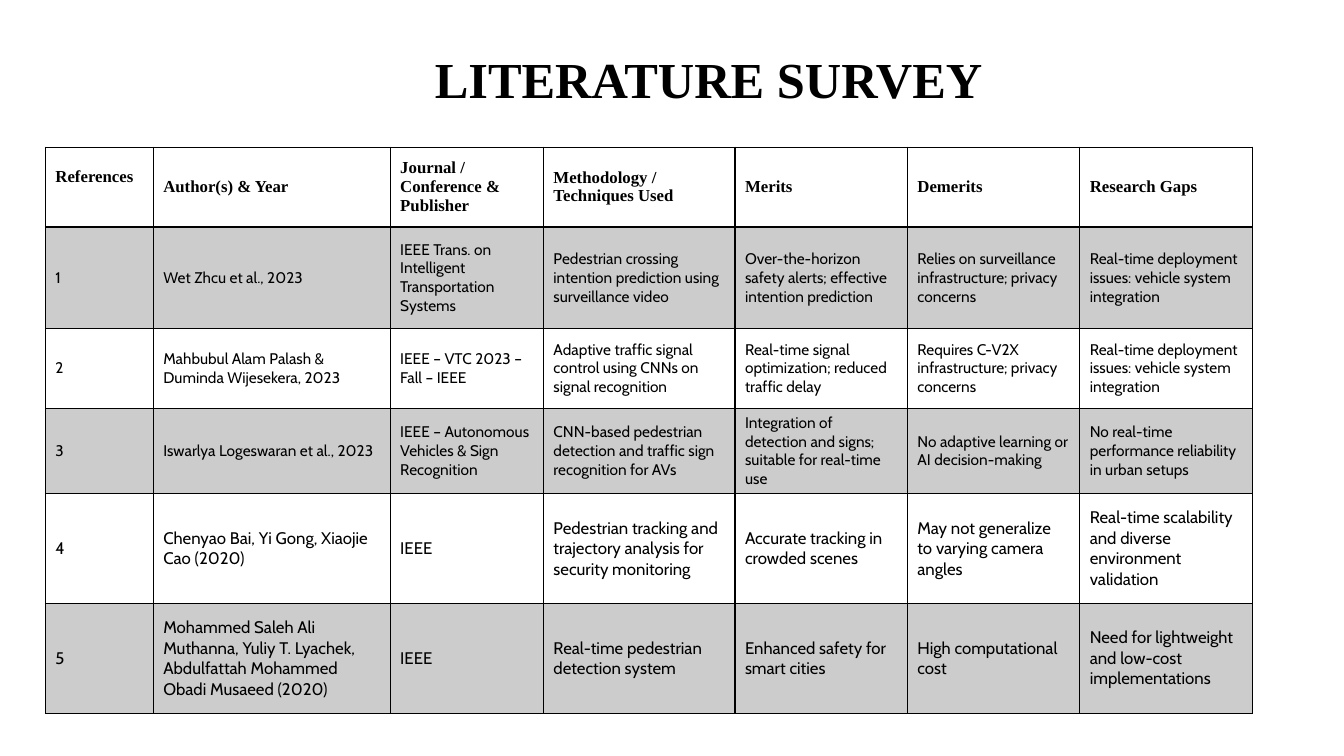
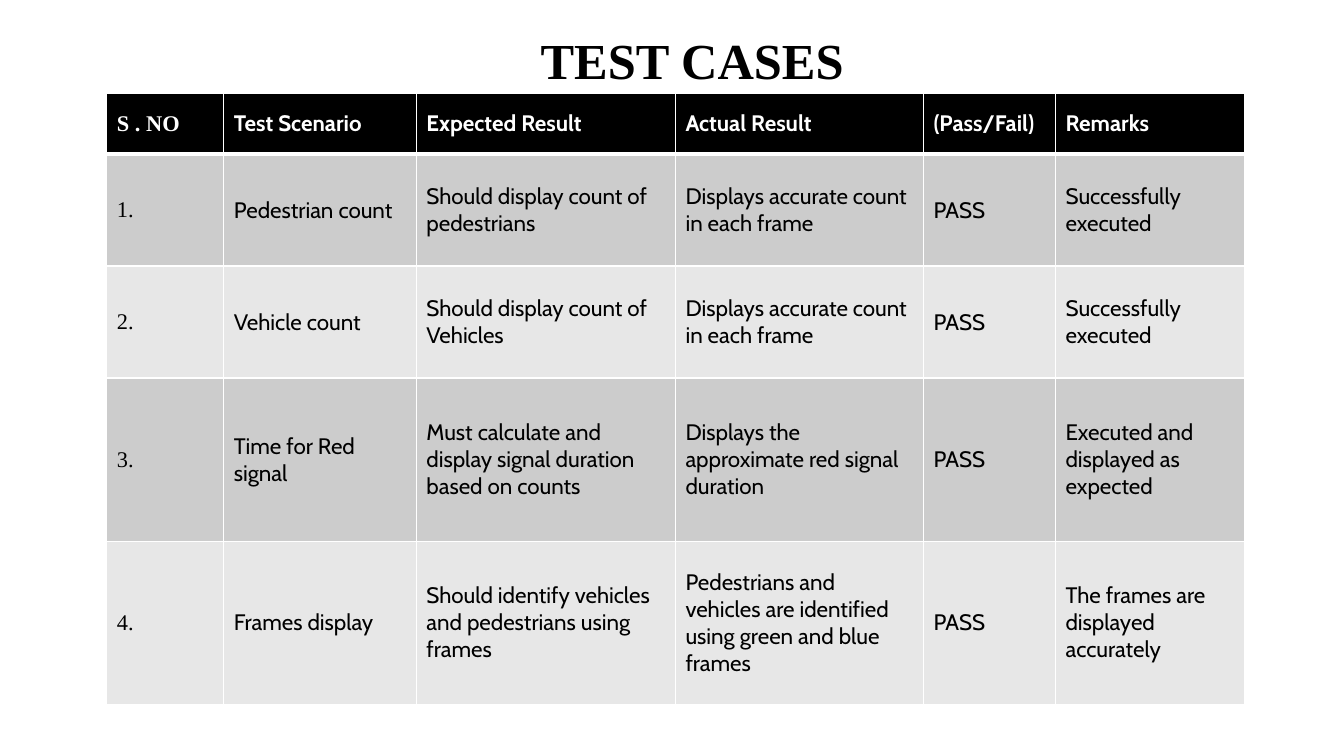
import pptx
import pptx.dml.color
import pptx.enum.text
import pptx.util
from lxml import etree
from pptx.oxml.ns import qn

Inches, Pt = pptx.util.Inches, pptx.util.Pt
RGBColor = pptx.dml.color.RGBColor
MIDDLE = pptx.enum.text.MSO_ANCHOR.MIDDLE

BLACK = RGBColor(0x00, 0x00, 0x00)
WHITE = RGBColor(0xFF, 0xFF, 0xFF)
MID_GREY = RGBColor(0xCC, 0xCC, 0xCC)
PALE_GREY = RGBColor(0xE7, 0xE7, 0xE7)
SERIF, SANS = "Times New Roman", "Cabin"
TITLE_LAYOUT = 5

SURVEY = {
    "title": "LITERATURE SURVEY",
    "title_at": (1.55, 0.41, 10.96, 0.73),
    "table_at": (0.45, 1.46),
    "columns": [1.07, 2.35, 1.52, 1.9, 1.71, 1.71, 1.71],
    "rows": [0.79, 1.01, 0.79, 0.79, 1.09, 1.09],
    "sizes": [12, 11, 11, 11, 12, 12],
    "header_fonts": [SERIF] * 7,
    "body_fonts": [SANS] * 7,
    "header_fill": WHITE,
    "header_color": BLACK,
    "bands": [MID_GREY, WHITE],
    "border": BLACK,
    "header_rule": 2,
    "cells": [
        ["References", "Author(s) & Year", "Journal / Conference & Publisher",
         "Methodology / Techniques Used", "Merits", "Demerits", "Research Gaps"],
        ["1", "Wet Zhcu et al., 2023",
         "IEEE Trans. on Intelligent Transportation Systems",
         "Pedestrian crossing intention prediction using surveillance video",
         "Over-the-horizon safety alerts; effective intention prediction",
         "Relies on surveillance infrastructure; privacy concerns",
         "Real-time deployment issues: vehicle system integration"],
        ["2", "Mahbubul Alam Palash & Duminda Wijesekera, 2023",
         "IEEE – VTC 2023 – Fall – IEEE",
         "Adaptive traffic signal control using CNNs on signal recognition",
         "Real-time signal optimization; reduced traffic delay",
         "Requires C-V2X infrastructure; privacy concerns",
         "Real-time deployment issues: vehicle system integration"],
        ["3", "Iswarlya Logeswaran et al., 2023",
         "IEEE – Autonomous Vehicles & Sign Recognition",
         "CNN-based pedestrian detection and traffic sign recognition for AVs",
         "Integration of detection and signs; suitable for real-time use",
         "No adaptive learning or AI decision-making",
         "No real-time performance reliability in urban setups"],
        ["4", "Chenyao Bai, Yi Gong, Xiaojie Cao (2020)", "IEEE",
         "Pedestrian tracking and trajectory analysis for security monitoring",
         "Accurate tracking in crowded scenes",
         "May not generalize to varying camera angles",
         "Real-time scalability and diverse environment validation"],
        ["5", "Mohammed Saleh Ali Muthanna, Yuliy T. Lyachek, "
              "Abdulfattah Mohammed Obadi Musaeed (2020)", "IEEE",
         "Real-time pedestrian detection system",
         "Enhanced safety for smart cities", "High computational cost",
         "Need for lightweight and low-cost implementations"],
    ],
}

TESTS = {
    "title": "TEST CASES",
    "title_at": (1.62, 0.43, 10.49, 0.32),
    "table_at": (1.06, 0.93),
    "columns": [1.16, 1.91, 2.57, 2.46, 1.31, 1.88],
    "rows": [0.6, 1.11, 1.11, 1.62, 1.62],
    "sizes": [16] * 5,
    "header_fonts": [SERIF] + [SANS] * 5,
    "body_fonts": [SERIF] + [SANS] * 5,
    "header_fill": BLACK,
    "header_color": WHITE,
    "bands": [MID_GREY, PALE_GREY],
    "border": WHITE,
    "header_rule": 3,
    "cells": [
        ["S . NO", "Test Scenario", "Expected Result", "Actual Result",
         "(Pass/Fail)", "Remarks"],
        ["1.", "Pedestrian count", "Should display count of pedestrians",
         "Displays accurate count in each frame", "PASS", "Successfully executed"],
        ["2.", "Vehicle count", "Should display count of Vehicles",
         "Displays accurate count in each frame", "PASS", "Successfully executed"],
        ["3.", "Time for Red signal",
         "Must calculate and display signal duration based on counts",
         "Displays the approximate red signal duration", "PASS",
         "Executed and displayed as expected"],
        ["4.", "Frames display",
         "Should identify vehicles and pedestrians using frames",
         "Pedestrians and vehicles are identified using green and blue frames",
         "PASS", "The frames are displayed accurately"],
    ],
}


def set_borders(cell, color, top, bottom):
    """Draw the four cell edges; must run before the cell is filled."""
    properties = cell._tc.get_or_add_tcPr()
    for side, width in (("L", 1), ("R", 1), ("T", top), ("B", bottom)):
        line = etree.SubElement(properties, qn("a:ln" + side), w=str(Pt(width)))
        solid = etree.SubElement(line, qn("a:solidFill"))
        etree.SubElement(solid, qn("a:srgbClr"), val=str(color))


def style_font(font, name, size, color, bold):
    font.name, font.size, font.bold = name, Pt(size), bold
    font.color.rgb = color


deck = pptx.Presentation()
deck.slide_width, deck.slide_height = Inches(13.33), Inches(7.5)

for content in (SURVEY, TESTS):
    page = deck.slides.add_slide(deck.slide_layouts[TITLE_LAYOUT])

    title = page.shapes.title
    title.left, title.top, title.width, title.height = map(Inches, content["title_at"])
    title.text_frame.text = content["title"]
    title.text_frame.vertical_anchor = MIDDLE
    title.text_frame.auto_size = pptx.enum.text.MSO_AUTO_SIZE.NONE
    heading = title.text_frame.paragraphs[0]
    heading.alignment = pptx.enum.text.PP_ALIGN.CENTER
    style_font(heading.font, SERIF, 36, BLACK, True)

    columns, rows = content["columns"], content["rows"]
    left, top = content["table_at"]
    table = page.shapes.add_table(
        len(rows), len(columns), Inches(left), Inches(top),
        Inches(sum(columns)), Inches(sum(rows))).table
    for column, width in zip(table.columns, columns):
        column.width = Inches(width)

    for index, texts in enumerate(content["cells"]):
        table.rows[index].height = Inches(rows[index])
        is_header = index == 0
        fonts = content["header_fonts" if is_header else "body_fonts"]
        fill = content["header_fill"] if is_header else content["bands"][(index - 1) % 2]
        color = content["header_color"] if is_header else BLACK
        top_rule = content["header_rule"] if index == 1 else 1
        bottom_rule = content["header_rule"] if is_header else 1
        for position, text in enumerate(texts):
            cell = table.cell(index, position)
            cell.text = text
            cell.vertical_anchor = MIDDLE
            set_borders(cell, content["border"], top_rule, bottom_rule)
            cell.fill.solid()
            cell.fill.fore_color.rgb = fill
            style_font(cell.text_frame.paragraphs[0].font, fonts[position],
                       content["sizes"][index], color, is_header)

    if content is SURVEY:
        # The first heading sits a little above the middle of its row.
        table.cell(0, 0).margin_bottom = Inches(0.25)

deck.save("out.pptx")
